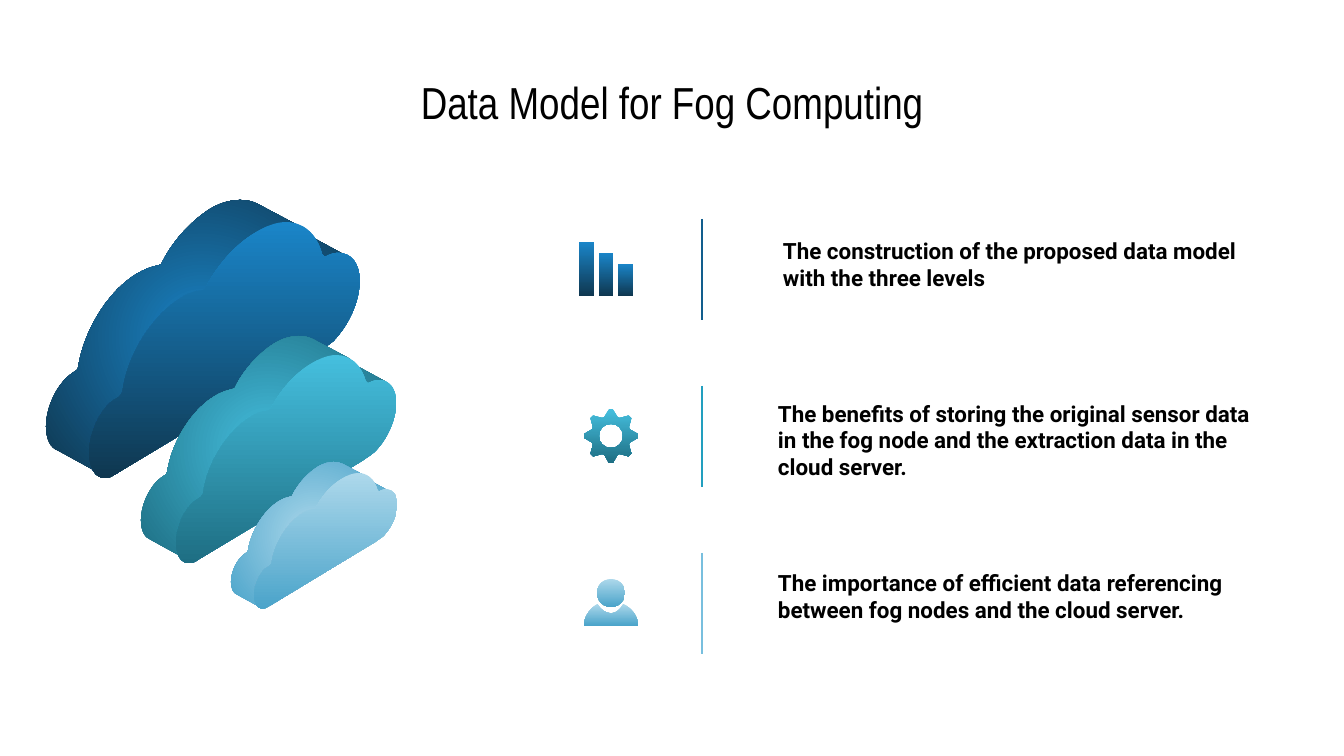
from math import cos, radians, sin

from lxml import etree
from pptx import Presentation
from pptx import util as u
from pptx.dml.color import RGBColor
from pptx.enum import shapes, text
from pptx.oxml import ns

PX = 914400 / 134.4

BLACK = RGBColor(0x00, 0x00, 0x00)
WHITE = RGBColor(0xFF, 0xFF, 0xFF)
BLUE = (RGBColor(0x1A, 0x85, 0xC8), RGBColor(0x0F, 0x37, 0x50))
TEAL = (RGBColor(0x45, 0xBF, 0xDE), RGBColor(0x1E, 0x6E, 0x83))
SKY = (RGBColor(0xAD, 0xD8, 0xEB), RGBColor(0x4B, 0xA4, 0xCA))
BLUE_LINE = RGBColor(0x12, 0x5E, 0x8D)
TEAL_LINE = RGBColor(0x22, 0x9F, 0xBF)
SKY_LINE = RGBColor(0x78, 0xBF, 0xDE)

# Content
TITLE = "Data Model for Fog Computing"
# text, left and top of its box, divider colour
POINTS = [
    ("The construction of the proposed data model with the three levels",
     770, 208, BLUE_LINE),
    ("The benefits of storing the original sensor data in the fog node "
     "and the extraction data in the cloud server.", 765, 384, TEAL_LINE),
    ("The importance of efficient data referencing between fog nodes "
     "and the cloud server.", 765, 540, SKY_LINE),
]
# colours, corner of the cloud's body, corner of its face, size factor
CLOUDS = [
    (BLUE, (46, 200), (89, 222), 1.34),
    (TEAL, (141, 336), (176, 355), 1.09),
    (SKY, (231, 462), (254, 473), 0.71),
]

# Outlines: two numbers are a straight step, six are a curve
CLOUD_BODY = [
    (145, 0), (138, 0, 130, 2, 122, 7), (108, 16, 94, 31, 86, 48),
    (83, 49), (78, 50, 73, 52, 68, 55), (46, 68, 28, 98, 24, 125),
    (23, 127), (20, 129), (9, 136, 0, 154, 0, 169), (0, 178, 3, 185, 9, 187),
    (40, 204), (42, 205, 44, 205, 46, 205), (48, 205, 51, 205, 54, 203),
    (202, 113), (206, 110, 213, 106, 215, 103), (225, 91, 233, 75, 233, 61),
    (233, 50, 229, 44, 223, 41), (199, 28), (196, 25, 193, 22, 190, 20),
    (158, 3), (154, 1, 150, 0, 145, 0),
]
CLOUD_FACE = [
    (147, 0), (140, 0, 132, 3, 124, 8), (109, 17, 96, 32, 87, 49),
    (85, 51), (80, 51, 74, 53, 68, 57), (47, 70, 28, 100, 25, 127),
    (23, 130), (20, 132), (9, 138, 0, 157, 0, 172), (0, 184, 5, 191, 12, 191),
    (15, 191, 17, 190, 20, 188), (171, 97), (175, 94, 182, 90, 184, 87),
    (195, 75, 202, 58, 202, 44), (202, 31, 196, 23, 186, 23),
    (183, 23, 180, 24, 176, 26), (174, 24), (170, 9, 160, 0, 147, 0),
]
SHOULDERS = [
    (29, 0), (35, 3, 40, 9, 40, 16), (0, 16), (0, 9, 5, 3, 10, 0),
    (12, 4, 16, 7, 20, 7), (24, 7, 27, 4, 29, 0),
]
GEAR_HOLE = [
    (0, -12), (-7, -12, -12, -7, -12, 0), (-12, 7, -7, 12, 0, 12),
    (7, 12, 12, 7, 12, 0), (12, -7, 7, -12, 0, -12),
]


def px(value):
    return u.Emu(round(value * PX))


def paint(shape, colours, radial=False):
    shape.shadow.inherit = False
    shape.line.fill.background()
    shape.fill.gradient()
    shape.fill.gradient_angle = 270
    for stop, colour in zip(shape.fill.gradient_stops, colours):
        stop.color.rgb = colour
    if radial:
        linear = next(shape._element.iter(ns.qn("a:lin")))
        circle = etree.Element(ns.qn("a:path"), {"path": "circle"})
        etree.SubElement(circle, ns.qn("a:fillToRect"),
                         {side: "50000" for side in "ltrb"})
        linear.getparent().replace(linear, circle)


def add_outline(page, contours, corner, factor, colours, radial=False):
    def place(x, y):
        return px(corner[0] + x * factor), px(corner[1] + y * factor)

    builder = page.shapes.build_freeform(*place(*contours[0][0]), scale=1.0)
    for i, contour in enumerate(contours):
        if i:
            builder.move_to(*place(*contour[0]))
        builder.add_line_segments([place(*step[-2:]) for step in contour[1:]],
                                  close=True)
    shape = builder.convert_to_shape()

    # Bend the straight segments that stand for curves
    steps = [step for contour in contours for step in contour[1:]]
    for step, segment in zip(steps, list(shape._element.iter(ns.qn("a:lnTo")))):
        if len(step) == 6:
            curve = etree.Element(ns.qn("a:cubicBezTo"))
            for k in (0, 2, 4):
                x, y = place(*step[k:k + 2])
                etree.SubElement(curve, ns.qn("a:pt"),
                                 {"x": str(x - shape.left), "y": str(y - shape.top)})
            segment.getparent().replace(segment, curve)
    paint(shape, colours, radial)


def add_preset(page, kind, left, top, width, height, colours):
    shape = page.shapes.add_shape(kind, px(left), px(top), px(width), px(height))
    paint(shape, colours)


def polar(radius, angle):
    return radius * sin(radians(angle)), -radius * cos(radians(angle))


def style(box, words, size, font, bold, align):
    frame = box.text_frame
    frame.word_wrap = True
    frame.auto_size = text.MSO_AUTO_SIZE.NONE
    frame.vertical_anchor = text.MSO_ANCHOR.MIDDLE
    frame.margin_left = frame.margin_right = px(13)
    frame.margin_top = frame.margin_bottom = px(13)
    para = frame.paragraphs[0]
    para.text = words
    para.alignment = align
    para.font.size = u.Pt(size)
    para.font.name = font
    para.font.bold = bold
    para.font.color.rgb = BLACK


def main():
    deck = Presentation()
    deck.slide_width, deck.slide_height = px(1344), px(756)
    page = deck.slides.add_slide(deck.slide_layouts[5])
    page.background.fill.solid()
    page.background.fill.fore_color.rgb = WHITE

    # Title
    title = page.shapes.title
    title.left, title.top, title.width, title.height = map(px, (67, 59, 1210, 85))
    style(title, TITLE, 24, "Arial Narrow", False, text.PP_ALIGN.CENTER)

    # Clouds, each a deep body with a flat face
    for colours, body, face, factor in CLOUDS:
        add_outline(page, [CLOUD_BODY], body, factor, colours, radial=True)
        add_outline(page, [CLOUD_FACE], face, factor, colours)

    # Bar icon
    for i in range(3):
        height = 54 - 11 * i
        add_preset(page, shapes.MSO_SHAPE.RECTANGLE,
                   579 + 19.5 * i, 296 - height, 15, height, BLUE)

    # Gear icon
    teeth = [polar(radius, 45 * k + angle) for k in range(8)
             for radius, angle in ((20, -19), (27, -4), (27, 4), (20, 19))]
    add_outline(page, [teeth, GEAR_HOLE], (611, 436), 1, TEAL)

    # Person icon
    add_preset(page, shapes.MSO_SHAPE.OVAL, 597, 579, 28, 28, SKY)
    add_outline(page, [SHOULDERS], (584, 604), 1.35, SKY)

    # Points with dividers
    for i, (words, left, top, colour) in enumerate(POINTS):
        box = page.shapes.add_textbox(px(left), px(top), px(501), px(112))
        style(box, words, 12, "Roboto", True, text.PP_ALIGN.LEFT)
        start = 219 + 167 * i
        divider = page.shapes.add_connector(
            shapes.MSO_CONNECTOR.STRAIGHT, px(702), px(start), px(702), px(start + 101))
        divider.line.color.rgb = colour
        divider.line.width = u.Pt(1.5)
        etree.SubElement(divider._element.spPr, ns.qn("a:effectLst"))

    deck.save("out.pptx")


if __name__ == "__main__":
    main()
